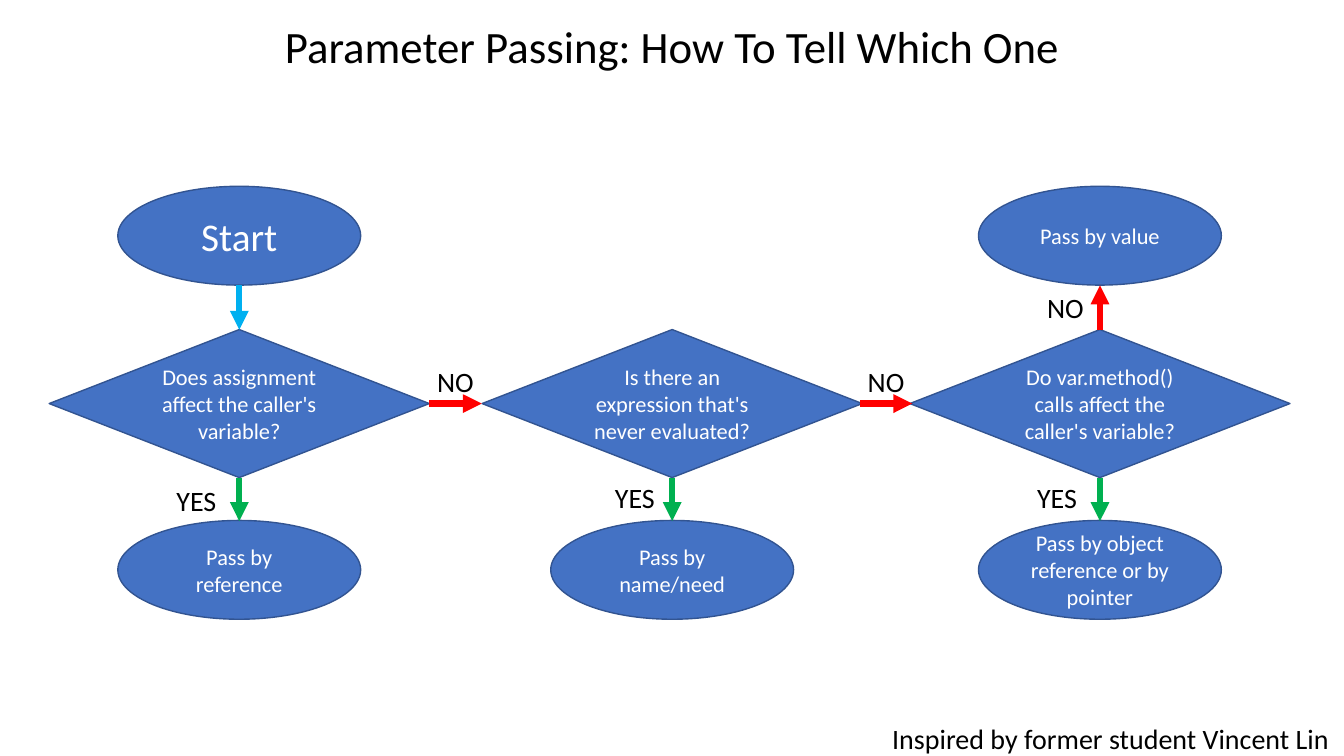
from typing import NamedTuple

from lxml import etree
from pptx import Presentation
from pptx import util as u
from pptx.dml import color
from pptx.enum import shapes, text
from pptx.oxml import ns

FONT = "Calibri"
BLACK, WHITE = "000000", "FFFFFF"
BLUE, OUTLINE = "4472C4", "325491"
START_BLUE, YES_GREEN, NO_RED = "00B0F0", "00B050", "FF0000"
FIRST, SECOND, THIRD = 6.03, 16.94, 27.72
UPPER, MIDDLE, LOWER = 5.94, 10.17, 14.36
DIAMOND = shapes.MSO_SHAPE.DIAMOND
OVAL = shapes.MSO_SHAPE.OVAL
NODE_SIZES = {DIAMOND: (9.58, 3.73), OVAL: (6.12, 2.49)}


class Node(NamedTuple):
    kind: shapes.MSO_SHAPE
    x: float
    y: float
    wording: str
    size: int = 16


class Arrow(NamedTuple):
    x1: float
    y1: float
    x2: float
    y2: float
    color: str


class Label(NamedTuple):
    x: float
    y: float
    width: float
    wording: str
    height: float = 1.12
    size: int = 20
    wrap: bool = False
    anchor: text.MSO_ANCHOR = text.MSO_ANCHOR.TOP
    spacing: float = 1.0


NODES = [
    Node(DIAMOND, FIRST, MIDDLE, "Does assignment affect the caller's variable?"),
    Node(DIAMOND, SECOND, MIDDLE, "Is there an expression that's never evaluated?"),
    Node(DIAMOND, THIRD, MIDDLE, "Do var.method()\vcalls affect the caller's variable?"),
    Node(OVAL, FIRST, LOWER, "Pass by reference"),
    Node(OVAL, SECOND, LOWER, "Pass by name/need"),
    Node(OVAL, THIRD, LOWER, "Pass by object reference or by\npointer"),
    Node(OVAL, FIRST, UPPER, "Start", 28),
    Node(OVAL, THIRD, UPPER, "Pass by value"),
]
ARROWS = [
    Arrow(FIRST, 7.19, FIRST, 8.31, START_BLUE),
    *(Arrow(x, 12.04, x, 13.13, YES_GREEN) for x in (FIRST, SECOND, THIRD)),
    *(Arrow(x, MIDDLE, x + 1.32, MIDDLE, NO_RED) for x in (10.82, 21.67)),
    Arrow(THIRD, 8.31, THIRD, 7.19, NO_RED),
]
LABELS = [
    Label(16.94, 1.24, 29.21, "Parameter Passing: How To Tell Which One",
          2.49, 32, True, text.MSO_ANCHOR.MIDDLE, 0.9),
    *(Label(x, y, 1.73, "YES") for x, y in ((4.95, 12.62), (16, 12.55), (26.64, 12.55))),
    *(Label(x, y, 1.52, "NO") for x, y in ((11.48, 9.63), (22.33, 9.63), (26.85, 7.75))),
    Label(27.99, 18.62, 11.73, "Inspired by former student Vincent Lin"),
]


def rgb(value: str) -> color.RGBColor:
    return color.RGBColor.from_string(value)


def centred_box(x: float, y: float, width: float, height: float) -> tuple:
    return u.Cm(x - width / 2), u.Cm(y - height / 2), u.Cm(width), u.Cm(height)


def write(frame, wording: str, size: int, ink: str, spacing: float = 1.0) -> None:
    frame.text = wording
    for paragraph in frame.paragraphs:
        paragraph.alignment = text.PP_ALIGN.CENTER
        paragraph.line_spacing = spacing
        paragraph.font.name = FONT
        paragraph.font.size = u.Pt(size)
        paragraph.font.color.rgb = rgb(ink)


def draw_node(slide, node: Node) -> None:
    box = centred_box(node.x, node.y, *NODE_SIZES[node.kind])
    step = slide.shapes.add_shape(node.kind, *box)
    step.shadow.inherit = False
    step.fill.solid()
    step.fill.fore_color.rgb = rgb(BLUE)
    step.line.color.rgb = rgb(OUTLINE)
    step.line.width = u.Pt(1)
    step.text_frame.word_wrap = True
    step.text_frame.vertical_anchor = text.MSO_ANCHOR.MIDDLE
    write(step.text_frame, node.wording, node.size, WHITE)


def draw_arrow(slide, arrow: Arrow) -> None:
    ends = (u.Cm(length) for length in (arrow.x1, arrow.y1, arrow.x2, arrow.y2))
    flow = slide.shapes.add_connector(shapes.MSO_CONNECTOR.STRAIGHT, *ends)
    flow.line.color.rgb = rgb(arrow.color)
    flow.line.width = u.Pt(4.5)
    etree.SubElement(flow.line._get_or_add_ln(), ns.qn("a:tailEnd"), type="triangle")
    etree.SubElement(flow._element.spPr, ns.qn("a:effectLst"))


def draw_label(slide, label: Label) -> None:
    box = centred_box(label.x, label.y, label.width, label.height)
    frame = slide.shapes.add_textbox(*box).text_frame
    frame.word_wrap = label.wrap
    frame.vertical_anchor = label.anchor
    write(frame, label.wording, label.size, BLACK, label.spacing)


def main() -> None:
    deck = Presentation()
    deck.slide_width, deck.slide_height = u.Cm(33.87), u.Cm(19.05)
    slide = deck.slides.add_slide(deck.slide_layouts[6])
    for node in NODES:
        draw_node(slide, node)
    for arrow in ARROWS:
        draw_arrow(slide, arrow)
    for label in LABELS:
        draw_label(slide, label)
    deck.save("out.pptx")


if __name__ == "__main__":
    main()
